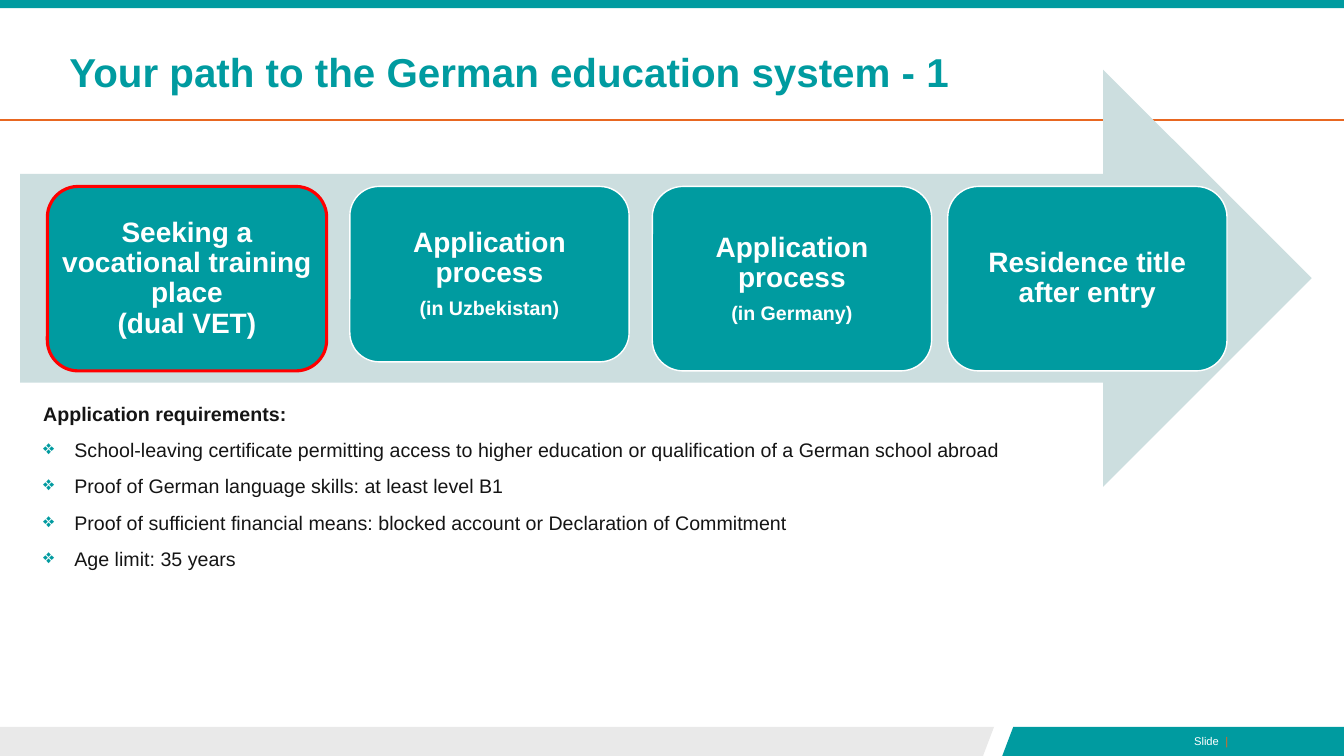
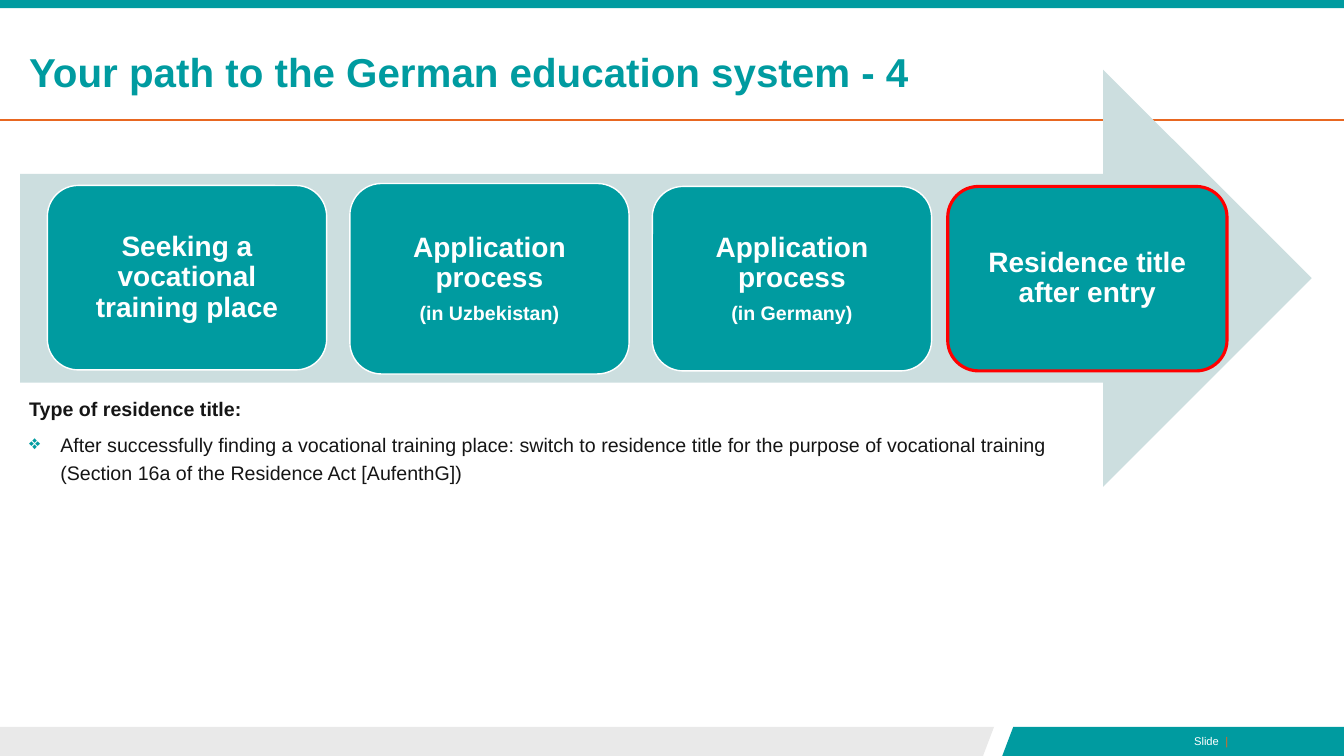
from dataclasses import dataclass

from lxml import etree
from pptx import Presentation
from pptx.dml.color import RGBColor
from pptx.enum.shapes import MSO_CONNECTOR, MSO_SHAPE
from pptx.enum.text import MSO_ANCHOR, PP_ALIGN
from pptx.oxml.ns import qn
from pptx.util import Inches, Pt

RECTANGLE = MSO_SHAPE.RECTANGLE
ROUNDED = MSO_SHAPE.ROUNDED_RECTANGLE
RIGHT_ARROW = MSO_SHAPE.RIGHT_ARROW
STRAIGHT = MSO_CONNECTOR.STRAIGHT
MIDDLE = MSO_ANCHOR.MIDDLE
TOP = MSO_ANCHOR.TOP
LEFT = PP_ALIGN.LEFT
CENTER = PP_ALIGN.CENTER
RIGHT = PP_ALIGN.RIGHT

WIDTH, HEIGHT = 13.33, 7.5
FOOTER_TOP = 7.21
BODY_INDENT = 0.31
STEP_LEFTS = (0.47, 3.47, 6.47, 9.4)
STEP_WIDTH = 2.77


@dataclass(frozen=True)
class Theme:
    font: str = "Arial"
    teal: str = "009BA0"
    pale_teal: str = "CCDEDF"
    orange: str = "E86721"
    grey: str = "E9E9E9"
    ink: str = "151515"
    white: str = "FFFFFF"
    red: str = "FF0000"
    title_size: float = 28.8
    step_size: float = 20
    body_size: float = 14
    footer_size: float = 8


@dataclass(frozen=True)
class Step:
    label: str
    note: str = ""
    top: float = 1.85
    height: float = 1.83
    inset: float = 0.08


class PathDeck:
    def __init__(self, theme):
        self.theme = theme
        self.deck = Presentation()
        self.deck.slide_width = Inches(WIDTH)
        self.deck.slide_height = Inches(HEIGHT)
        self.page = None

    def add_page(self):
        self.page = self.deck.slides.add_slide(self.deck.slide_layouts[6])
        theme = self.theme
        self.polygon([(9.86, FOOTER_TOP), (9.75, HEIGHT), (0, HEIGHT), (0, FOOTER_TOP)], theme.grey)
        self.polygon(
            [(WIDTH, FOOTER_TOP), (WIDTH, HEIGHT), (9.94, HEIGHT), (10.05, FOOTER_TOP)], theme.teal
        )
        footer = self.text_box(11.11, 7.24, 1.17, 0.24).paragraphs[0]
        footer.alignment = RIGHT
        self.span(footer, "Slide ", theme.footer_size, theme.white)
        self.span(footer, " |", theme.footer_size, theme.orange)
        self.shape(RECTANGLE, 0, 0, WIDTH, 0.08, theme.teal)
        self.rule(1.19)

    def paint(self, shape, fill, line=None, line_width=1):
        shape.shadow.inherit = False
        shape.fill.solid()
        shape.fill.fore_color.rgb = RGBColor.from_string(fill)
        if line:
            shape.line.color.rgb = RGBColor.from_string(line)
            shape.line.width = Pt(line_width)
        else:
            shape.line.fill.background()

    def polygon(self, points, fill):
        corners = [(Inches(x), Inches(y)) for x, y in points]
        builder = self.page.shapes.build_freeform(*corners[0])
        builder.add_line_segments(corners[1:], close=True)
        self.paint(builder.convert_to_shape(), fill)

    def shape(self, kind, left, top, width, height, fill, line=None, line_width=1):
        shape = self.page.shapes.add_shape(
            kind, Inches(left), Inches(top), Inches(width), Inches(height)
        )
        self.paint(shape, fill, line, line_width)
        return shape

    def rule(self, top):
        line = self.page.shapes.add_connector(
            STRAIGHT, Inches(0), Inches(top), Inches(WIDTH), Inches(top)
        )
        line.line.color.rgb = RGBColor.from_string(self.theme.orange)
        line.line.width = Pt(1.25)
        etree.SubElement(line._element.spPr, qn("a:effectLst"))

    def text_box(self, left, top, width, height, anchor=TOP):
        box = self.page.shapes.add_textbox(
            Inches(left), Inches(top), Inches(width), Inches(height)
        )
        frame = box.text_frame
        frame.word_wrap = True
        frame.vertical_anchor = anchor
        return frame

    def span(self, para, text, size, color, bold=False):
        span = para.add_run()
        span.text = text
        span.font.name = self.theme.font
        span.font.size = Pt(size)
        span.font.bold = bold
        span.font.color.rgb = RGBColor.from_string(color)

    def title(self, left, text):
        para = self.text_box(left, 0.29, 10.03, 0.9, MIDDLE).paragraphs[0]
        para.line_spacing = 0.9
        self.span(para, text, self.theme.title_size, self.theme.teal, bold=True)

    def step(self, left, step, active):
        theme = self.theme
        line, line_width = (theme.red, 2.25) if active else (theme.white, 1)
        box = self.shape(
            ROUNDED, left, step.top, STEP_WIDTH, step.height, theme.teal, line, line_width
        )
        frame = box.text_frame
        frame.word_wrap = True
        frame.vertical_anchor = MIDDLE
        frame.margin_left = frame.margin_right = Inches(step.inset)
        frame.margin_top = frame.margin_bottom = Inches(0.08)
        para = frame.paragraphs[0]
        para.alignment = CENTER
        para.line_spacing = 0.9
        for index, text in enumerate(step.label.split("\n")):
            if index:
                para.add_line_break()
            self.span(para, text, theme.step_size, theme.white, bold=True)
        if step.note:
            para.space_after = Pt(7)
            note = frame.add_paragraph()
            note.alignment = CENTER
            note.line_spacing = 0.9
            self.span(note, step.note, theme.body_size, theme.white, bold=True)

    def process(self, steps, active):
        self.shape(RIGHT_ARROW, 0.2, 0.69, 12.81, 4.14, self.theme.pale_teal)
        for index, (left, step) in enumerate(zip(STEP_LEFTS, steps)):
            self.step(left, step, index == active)

    def bullet(self, para):
        properties = para._p.get_or_add_pPr()
        properties.set("marL", str(Inches(BODY_INDENT)))
        properties.set("indent", str(-Inches(BODY_INDENT)))
        color = etree.SubElement(properties, qn("a:buClr"))
        etree.SubElement(color, qn("a:srgbClr"), val=self.theme.teal)
        etree.SubElement(properties, qn("a:buChar"), char="❖")

    def body(self, left, top, width, height, heading, items):
        frame = self.text_box(left, top, width, height)
        for index, text in enumerate([heading, *items]):
            para = frame.add_paragraph() if index else frame.paragraphs[0]
            if index:
                self.bullet(para)
                para.space_before = Pt(3)
            para.alignment = LEFT
            para.line_spacing = Pt(20)
            para.space_after = Pt(3)
            self.span(para, text, self.theme.body_size, self.theme.ink, bold=not index)


def main():
    path = PathDeck(Theme())
    germany = Step("Application process", "(in Germany)")
    residence = Step("Residence title after entry")

    path.add_page()
    path.process(
        [
            Step("Seeking a vocational training place\n(dual VET)", inset=0.04),
            Step("Application process", "(in Uzbekistan)", height=1.74),
            germany,
            residence,
        ],
        active=0,
    )
    path.body(
        0.33, 3.89, 10.83, 1.84,
        "Application requirements:",
        [
            "School-leaving certificate permitting access to higher education "
            "or qualification of a German school abroad",
            "Proof of German language skills: at least level B1",
            "Proof of sufficient financial means: blocked account or Declaration of Commitment",
            "Age limit: 35 years",
        ],
    )
    path.title(0.59, "Your path to the German education system - 1")

    path.add_page()
    path.process(
        [
            Step("Seeking a vocational training place", top=1.84),
            Step("Application process", "(in Uzbekistan)", top=1.82, height=1.89),
            germany,
            residence,
        ],
        active=3,
    )
    path.body(
        0.19, 3.84, 10.75, 1.03,
        "Type of residence title:",
        [
            "After successfully finding a vocational training place: switch to residence title "
            "for the purpose of vocational training (Section 16a of the Residence Act [AufenthG])",
        ],
    )
    path.title(0.19, "Your path to the German education system - 4")

    path.deck.save("out.pptx")


if __name__ == "__main__":
    main()
